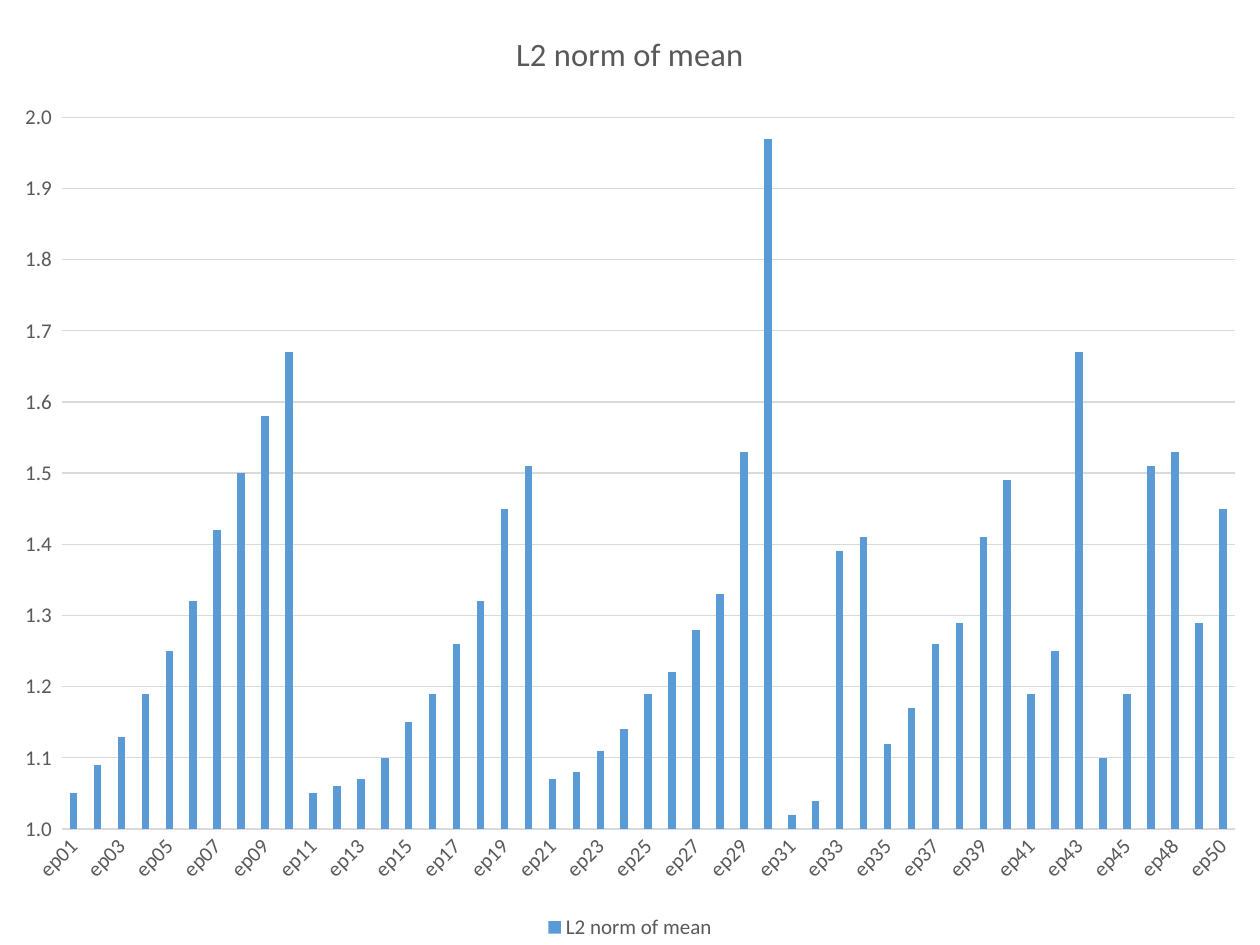
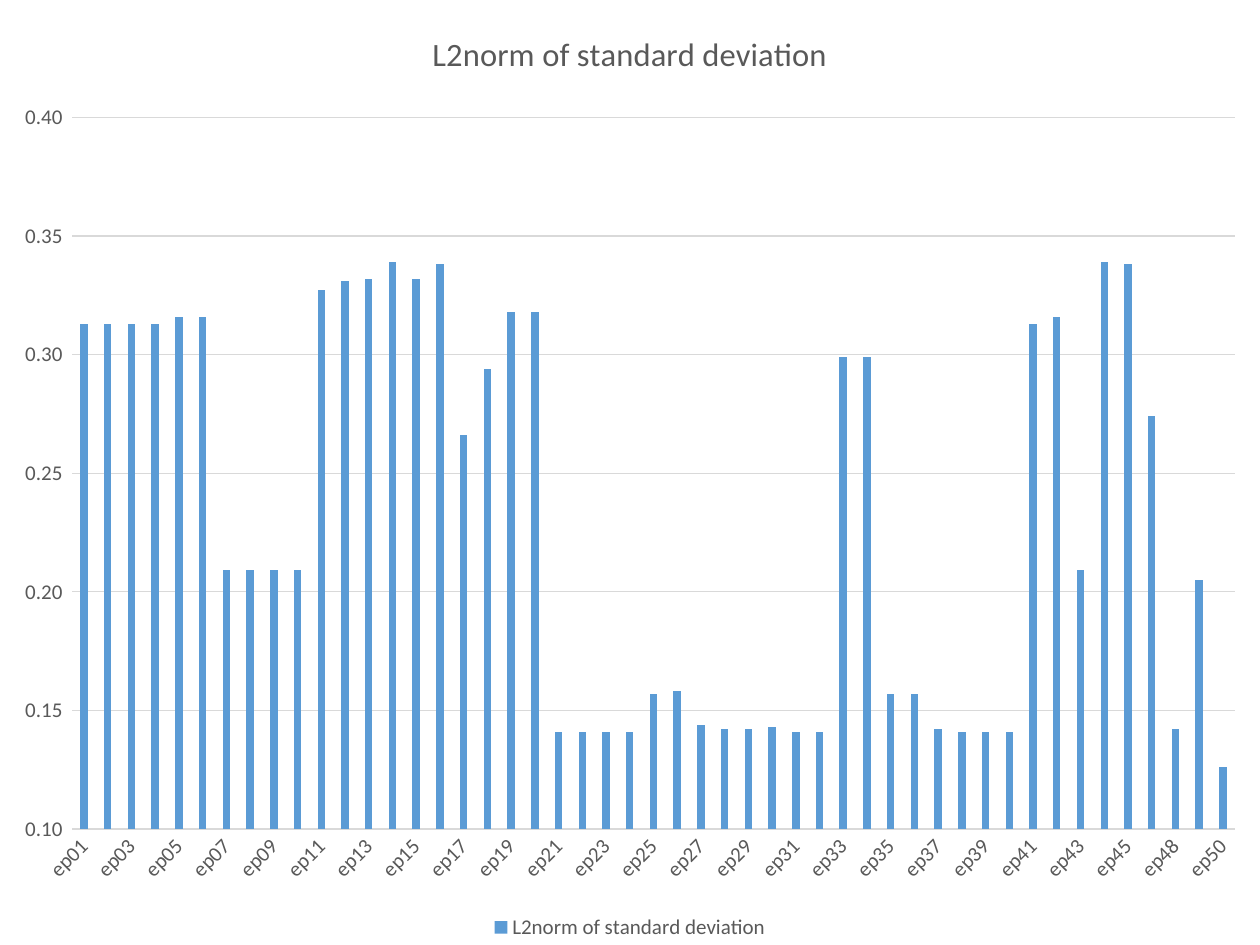
from pptx import Presentation
from pptx.chart.data import CategoryChartData
from pptx.dml.color import RGBColor
from pptx.enum.chart import XL_CHART_TYPE, XL_LEGEND_POSITION, XL_TICK_MARK
from pptx.util import Inches, Pt

# Content: ep47 is absent from the episodes
EPISODES = [f"ep{n:02d}" for n in range(1, 51) if n != 47]
CHARTS = [
    dict(title="L2 norm of mean", number_format="0.0_ ", low=1, high=2, step=0.1, values=[
        1.05, 1.09, 1.13, 1.19, 1.25, 1.32, 1.42, 1.5, 1.58, 1.67,
        1.05, 1.06, 1.07, 1.1, 1.15, 1.19, 1.26, 1.32, 1.45, 1.51,
        1.07, 1.08, 1.11, 1.14, 1.19, 1.22, 1.28, 1.33, 1.53, 1.97,
        1.02, 1.04, 1.39, 1.41, 1.12, 1.17, 1.26, 1.29, 1.41, 1.49,
        1.19, 1.25, 1.67, 1.1, 1.19, 1.51, 1.53, 1.29, 1.45]),
    dict(title="L2norm of standard deviation", number_format="0.00_ ", low=0.1, high=0.4,
         step=0.05, values=[
        0.313, 0.313, 0.313, 0.313, 0.316, 0.316, 0.209, 0.209, 0.209, 0.209,
        0.327, 0.331, 0.332, 0.339, 0.332, 0.338, 0.266, 0.294, 0.318, 0.318,
        0.141, 0.141, 0.141, 0.141, 0.157, 0.158, 0.144, 0.142, 0.142, 0.143,
        0.141, 0.141, 0.299, 0.299, 0.157, 0.157, 0.142, 0.141, 0.141, 0.141,
        0.313, 0.316, 0.209, 0.339, 0.338, 0.274, 0.142, 0.205, 0.126]),
]

# Shared style
FONT = "Calibri"
TEXT_GREY = RGBColor(0x59, 0x59, 0x59)
LINE_GREY = RGBColor(0xD9, 0xD9, 0xD9)
BAR_BLUE = RGBColor(0x5B, 0x9B, 0xD5)
WIDTH, HEIGHT = Inches(10), Inches(7.5)


def style_font(font, size):
    font.name = FONT
    font.size = Pt(size)
    font.bold = False
    font.color.rgb = TEXT_GREY


def style_line(line):
    line.color.rgb = LINE_GREY
    line.width = Pt(0.75)


def add_norm_chart(slide, title, number_format, low, high, step, values):
    data = CategoryChartData()
    data.categories = EPISODES
    data.add_series(title, values)
    chart = slide.shapes.add_chart(
        XL_CHART_TYPE.COLUMN_CLUSTERED, 0, 0, WIDTH, HEIGHT, data).chart
    style_font(chart.font, 12)

    # Title and legend
    chart.has_title = True
    tf = chart.chart_title.text_frame
    tf.text = title
    style_font(tf.paragraphs[0].runs[0].font, 18.6)
    chart.chart_title.include_in_layout = False
    chart.has_legend = True
    chart.legend.position = XL_LEGEND_POSITION.BOTTOM
    chart.legend.include_in_layout = False
    style_font(chart.legend.font, 12)

    # Axes
    cat_axis, val_axis = chart.category_axis, chart.value_axis
    for axis in (cat_axis, val_axis):
        axis.major_tick_mark = axis.minor_tick_mark = XL_TICK_MARK.NONE
        style_font(axis.tick_labels.font, 12)
    style_line(cat_axis.format.line)
    val_axis.format.line.fill.background()
    val_axis.minimum_scale, val_axis.maximum_scale = low, high
    val_axis.major_unit = step
    val_axis.has_major_gridlines = True
    style_line(val_axis.major_gridlines.format.line)
    val_axis.tick_labels.number_format = number_format
    val_axis.tick_labels.number_format_is_linked = False

    # Columns
    plot = chart.plots[0]
    plot.vary_by_categories = False
    plot.gap_width, plot.overlap = 219, -27
    fill = plot.series[0].format.fill
    fill.solid()
    fill.fore_color.rgb = BAR_BLUE


def main():
    prs = Presentation()
    prs.slide_width, prs.slide_height = WIDTH, HEIGHT
    for content in CHARTS:
        add_norm_chart(prs.slides.add_slide(prs.slide_layouts[6]), **content)
    prs.save("out.pptx")


if __name__ == "__main__":
    main()
